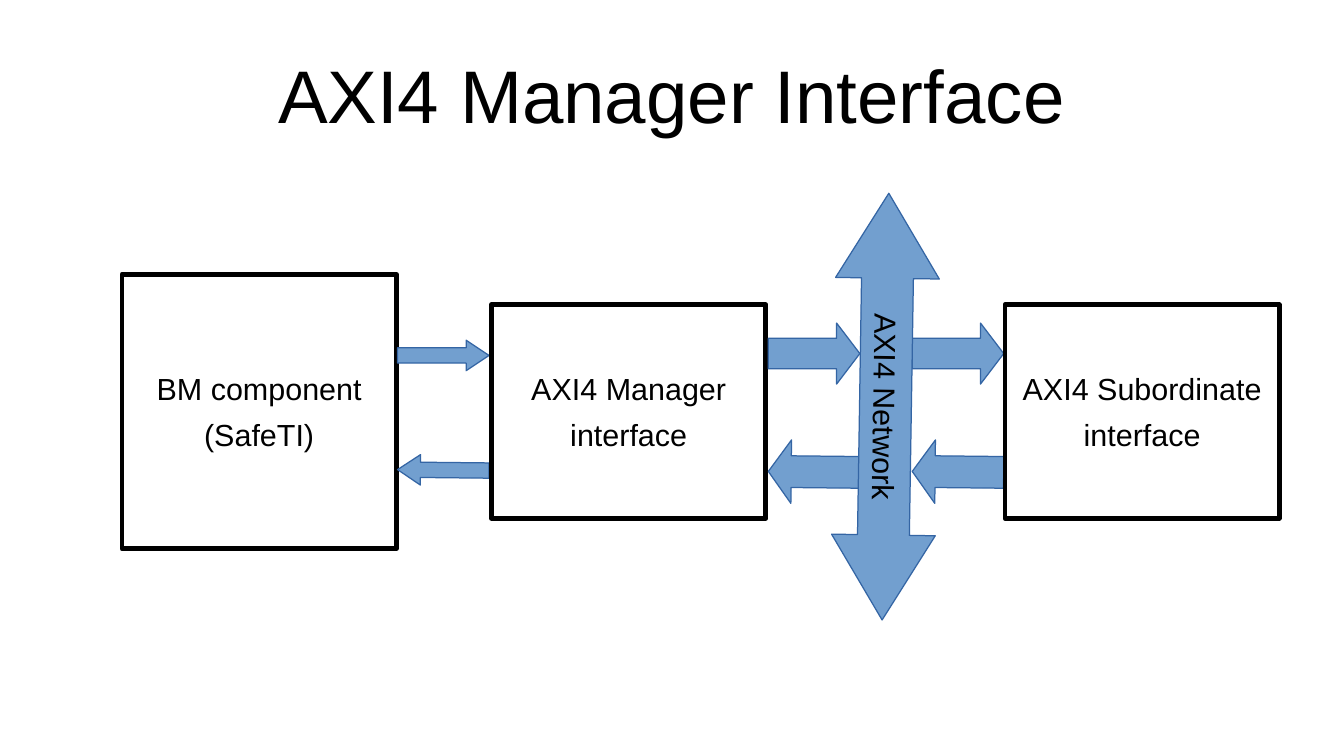
from dataclasses import dataclass

from pptx import Presentation
from pptx import util as u
from pptx.dml.color import RGBColor
from pptx.enum import shapes, text


@dataclass(frozen=True)
class Theme:
    """Colours, font and type sizes."""
    ink: str = "000000"
    paper: str = "FFFFFF"
    blue: str = "729FCF"
    edge: str = "3465A4"
    font: str = "Arial"
    head: int = 44
    label: int = 18


def write(frame, lines, size, color, font, gap=0, pad=(0, 0), wrap=False):
    """Fill a text frame with centred paragraphs."""
    frame.word_wrap = wrap
    frame.auto_size = text.MSO_AUTO_SIZE.NONE
    frame.vertical_anchor = text.MSO_ANCHOR.MIDDLE
    frame.margin_left = frame.margin_right = u.Inches(pad[0])
    frame.margin_top = frame.margin_bottom = u.Inches(pad[1])
    for i, line in enumerate(lines):
        para = frame.add_paragraph() if i else frame.paragraphs[0]
        para.text = line
        para.alignment = text.PP_ALIGN.CENTER
        para.space_before = u.Pt(gap if i else 0)
        para.space_after = u.Pt(gap)
        para.font.size = u.Pt(size)
        para.font.name = font
        para.font.color.rgb = RGBColor.from_string(color)


class Board:
    """Draws elements on one slide in one style."""

    def __init__(self, slide, theme):
        """Keep the slide and the theme."""
        self.slide = slide
        self.theme = theme

    def title(self, line, *area):
        """Place and format the title."""
        t = self.theme
        head = self.slide.shapes.title
        head.left, head.top, head.width, head.height = map(u.Inches, area)
        write(head.text_frame, [line], t.head, t.ink, t.font, wrap=True)

    def shape(self, kind, area, fill, edge, width):
        """Add a filled, outlined preset shape."""
        item = self.slide.shapes.add_shape(kind, *map(u.Inches, area))
        item.shadow.inherit = False
        item.fill.solid()
        item.fill.fore_color.rgb = RGBColor.from_string(fill)
        item.line.color.rgb = RGBColor.from_string(edge)
        item.line.width = u.Pt(width)
        return item

    def block(self, lines, *area):
        """Add a labelled block."""
        t = self.theme
        item = self.shape(shapes.MSO_SHAPE.RECTANGLE, area, t.paper, t.ink, 2.89)
        write(item.text_frame, lines, t.label, t.ink, t.font, gap=2.8, pad=(0.12, 0.07))

    def arrow(self, kind, area, tip, turn=0):
        """Add a block arrow with a given tip ratio and rotation."""
        t = self.theme
        item = self.shape(kind, area, t.blue, t.edge, 0)
        item.adjustments[0] = 0.5
        item.adjustments[1] = tip
        item.rotation = turn
        return item

    def link(self, left, out, back, tips):
        """Add a request arrow and the response arrow below it."""
        for (top, high), tip, turn in zip((out, back), tips, (0, 180.6)):
            area = (left, top, 0.75, high)
            self.arrow(shapes.MSO_SHAPE.RIGHT_ARROW, area, tip, turn)

    def bus(self, line, *area):
        """Add the labelled vertical two-way arrow."""
        t = self.theme
        item = self.arrow(shapes.MSO_SHAPE.LEFT_RIGHT_ARROW, area, 0.82, 90.9)
        write(item.text_frame, [line], t.label, t.ink, t.font, pad=(0.1, 0.05))


def main():
    """Build and save the slide."""
    deck = Presentation()
    deck.slide_width, deck.slide_height = u.Inches(11.02), u.Inches(6.2)
    board = Board(deck.slides.add_slide(deck.slide_layouts[5]), Theme())

    board.title("AXI4 Manager Interface", 0.55, 0.25, 9.92, 1.04)
    board.block(["BM component", "(SafeTI)"], 1, 2.25, 2.25, 2.25)
    board.link(3.26, (2.79, 0.25), (3.73, 0.25), (0.75, 0.75))
    board.block(["AXI4 Manager", "interface"], 4.03, 2.5, 2.25, 1.75)
    for left in (6.3, 7.48):
        board.link(left, (2.65, 0.5), (3.61, 0.52), (0.38, 0.36))
    board.block(["AXI4 Subordinate", "interface"], 8.24, 2.5, 2.25, 1.75)
    board.bus("AXI4 Network", 5.51, 2.91, 3.5, 0.85)
    deck.save("out.pptx")


if __name__ == "__main__":
    main()
